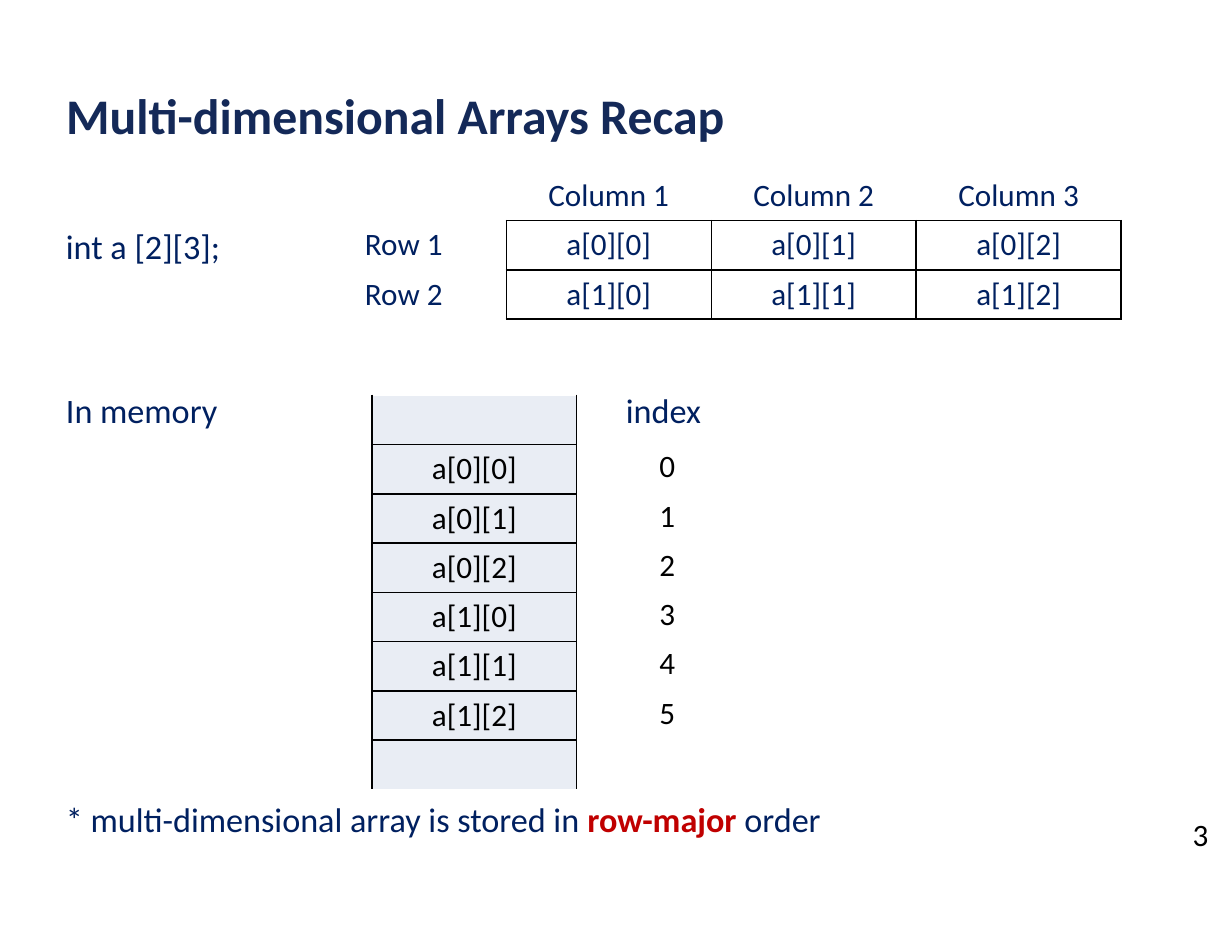
"""Build a slide on how a two-dimensional array is laid out in memory."""
from dataclasses import dataclass

from lxml.etree import SubElement
from pptx import Presentation
from pptx.dml.color import RGBColor
from pptx.enum.text import MSO_ANCHOR as Anchor, MSO_AUTO_SIZE as AutoSize, PP_ALIGN as Align
from pptx.oxml.ns import qn
from pptx.util import Inches, Pt

TITLE_BLUE = RGBColor(0x14, 0x29, 0x58)
NAVY = RGBColor(0x00, 0x20, 0x60)
RED = RGBColor(0xC0, 0x00, 0x00)
BLACK = RGBColor(0x00, 0x00, 0x00)
WHITE = RGBColor(0xFF, 0xFF, 0xFF)
PALE = RGBColor(0xE9, 0xED, 0xF4)

ROWS, COLUMNS = 2, 3
CELL_WIDTH, CELL_HEIGHT = 1.83, 0.44


@dataclass
class Cell:
    text: str = ""
    white_edges: str = ""


@dataclass
class Grid:
    left: float
    top: float
    rows: list[list[Cell]]
    color: RGBColor
    fill: RGBColor | None = None


def add_span(para, text: str, *, size: float = 20, color: RGBColor = BLACK, bold: bool = False) -> None:
    span = para.add_run()
    span.text = text
    span.font.name = "Calibri"
    span.font.size = Pt(size)
    span.font.bold = bold
    span.font.color.rgb = color


def set_borders(cell, white_edges: str) -> None:
    properties = cell._tc.get_or_add_tcPr()
    for edge in "LRTB":
        line = SubElement(properties, qn(f"a:ln{edge}"), w=str(Pt(1)))
        color = WHITE if edge in white_edges else BLACK
        SubElement(SubElement(line, qn("a:solidFill")), qn("a:srgbClr"), val=str(color))


def draw_grid(slide, grid: Grid) -> None:
    height, width = len(grid.rows), len(grid.rows[0])
    table = slide.shapes.add_table(
        height, width, Inches(grid.left), Inches(grid.top),
        Inches(width * CELL_WIDTH), Inches(height * CELL_HEIGHT),
    ).table
    table.first_row = table.horz_banding = False
    for row_index, row in enumerate(grid.rows):
        for column_index, content in enumerate(row):
            cell = table.cell(row_index, column_index)
            set_borders(cell, content.white_edges)
            if grid.fill is None:
                cell.fill.background()
            else:
                cell.fill.solid()
                cell.fill.fore_color.rgb = grid.fill
            if content.text:
                para = cell.text_frame.paragraphs[0]
                para.alignment = Align.CENTER
                add_span(para, content.text, color=grid.color)


def draw_number(slide, number: int, left: float, top: float) -> None:
    box = slide.shapes.add_textbox(Inches(left), Inches(top), Inches(0.34), Inches(0.44))
    box.text_frame.word_wrap = False
    add_span(box.text_frame.paragraphs[0], str(number))


def draw_title(slide, text: str) -> None:
    title = slide.shapes.title
    title.left, title.top = Inches(0.49), Inches(0.68)
    title.width, title.height = Inches(10.11), Inches(0.81)
    frame = title.text_frame
    frame.auto_size = AutoSize.NONE
    frame.vertical_anchor = Anchor.TOP
    frame.margin_top = Inches(0.08)
    para = frame.paragraphs[0]
    para.alignment = Align.LEFT
    add_span(para, text, size=32, color=TITLE_BLUE, bold=True)


def draw_body(slide) -> None:
    box = slide.shapes.add_textbox(Inches(0.49), Inches(1.96), Inches(10.11), Inches(5.28))
    frame = box.text_frame
    frame.word_wrap = True
    declaration, memory, note = frame.paragraphs[0], frame.add_paragraph(), frame.add_paragraph()
    add_span(declaration, "int a [2][3];", size=22, color=NAVY)

    memory.space_before = Pt(79)
    tabs = SubElement(memory._p.get_or_add_pPr(), qn("a:tabLst"))
    SubElement(tabs, qn("a:tab"), pos=str(Inches(5)), algn="l")
    add_span(memory, "In memory\tindex", size=22, color=NAVY)

    note.space_before = Pt(237)
    add_span(note, "* multi-dimensional array is stored in ", size=22, color=NAVY)
    add_span(note, "row-major", size=22, color=RED, bold=True)
    add_span(note, " order", size=22, color=NAVY)


def main() -> None:
    deck = Presentation()
    deck.slide_width, deck.slide_height = Inches(11), Inches(8.5)
    slide = deck.slides.add_slide(deck.slide_layouts[5])
    draw_title(slide, "Multi-dimensional Arrays Recap")
    draw_body(slide)

    elements = [[Cell(f"a[{row}][{column}]") for column in range(COLUMNS)] for row in range(ROWS)]
    header = [Cell("", "LRTB")] + [Cell(f"Column {column + 1}", "LRT") for column in range(COLUMNS)]
    labelled = [[Cell(f"Row {index + 1}", "LTB"), *row] for index, row in enumerate(elements)]
    draw_grid(slide, Grid(2.69, 1.53, [header, *labelled], NAVY))

    stored = [[cell] for row in elements for cell in row]
    memory = [[Cell("", "T")], *stored, [Cell("", "B")]]
    draw_grid(slide, Grid(3.32, 3.53, memory, BLACK, PALE))

    draw_number(slide, 3, 10.55, 7.23)
    for index in range(ROWS * COLUMNS):
        draw_number(slide, index, 5.79, 3.94 + index * CELL_HEIGHT)
    deck.save("out.pptx")


if __name__ == "__main__":
    main()
